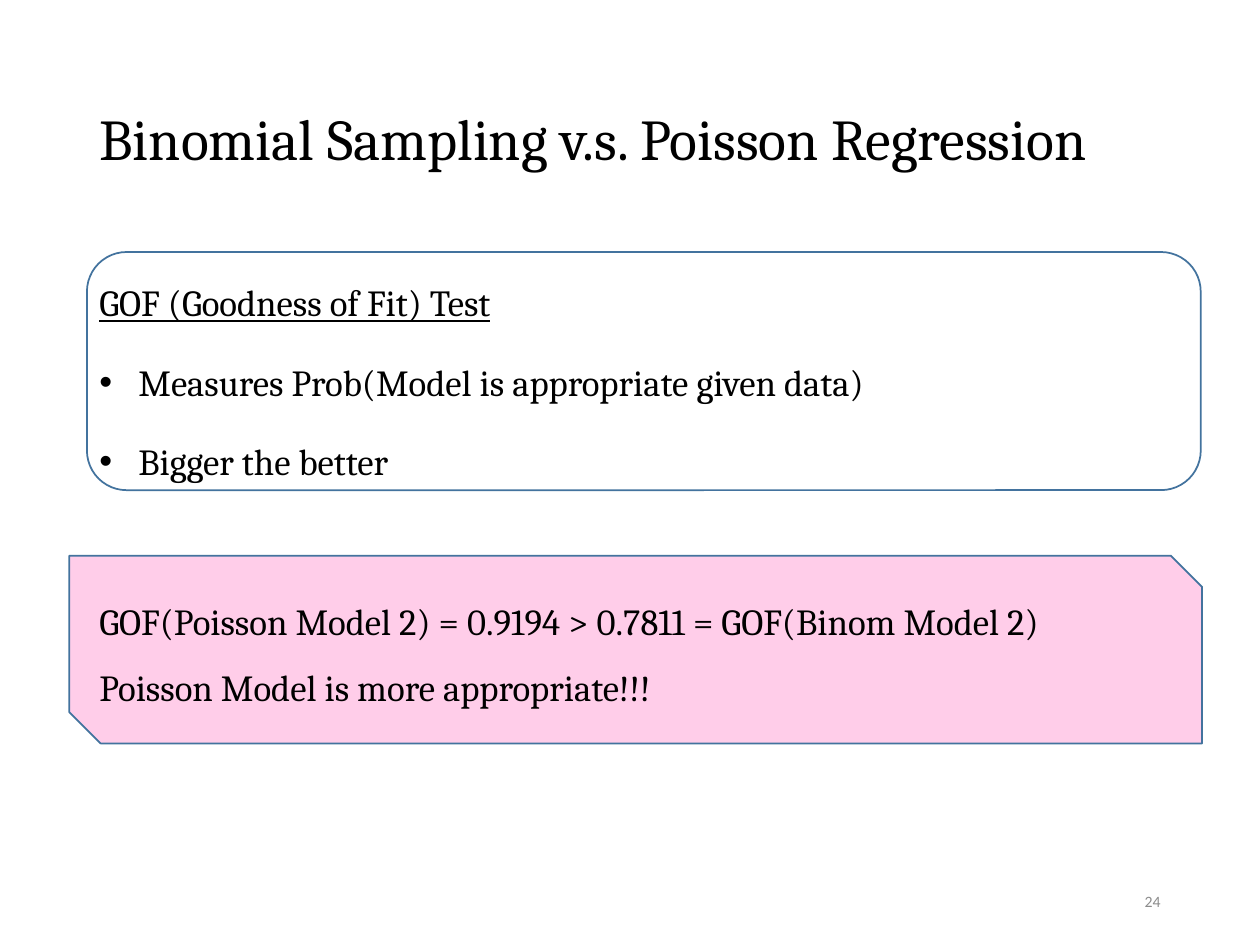
from lxml.etree import SubElement
from pptx import Presentation
from pptx.dml.color import RGBColor
from pptx.enum.shapes import MSO_SHAPE as Preset
from pptx.enum.text import MSO_ANCHOR as Anchor, PP_ALIGN as Align
from pptx.oxml.ns import qn
from pptx.util import Inches, Pt

BLACK = RGBColor(0x00, 0x00, 0x00)
WHITE = RGBColor(0xFF, 0xFF, 0xFF)
GRAY = RGBColor(0x8C, 0x8C, 0x8C)
PINK = RGBColor(0xFF, 0xCD, 0xE9)
BLUE = RGBColor(0x43, 0x73, 0x9E)

LEFT = 0.69
BULLET_INDENT = Inches(0.31)


def add_panel(slide, preset, box, fill):
    shape = slide.shapes.add_shape(preset, *map(Inches, box))
    shape.shadow.inherit = False
    shape.fill.solid()
    shape.fill.fore_color.rgb = fill
    shape.line.color.rgb = BLUE
    shape.line.width = Pt(1)


def add_text(slide, box, lines, size, font="Cambria", color=BLACK,
             anchor=Anchor.TOP, align=Align.LEFT, spacing=1.0, before=0):
    text_frame = slide.shapes.add_textbox(*map(Inches, box)).text_frame
    text_frame.word_wrap = True
    text_frame.vertical_anchor = anchor
    text_frame.text = "\n".join(lines)
    for paragraph in text_frame.paragraphs:
        paragraph.alignment = align
        paragraph.line_spacing = spacing
        paragraph.space_before = Pt(before)
        for run in paragraph.runs:
            run.font.name = font
            run.font.size = Pt(size)
            run.font.color.rgb = color
    return text_frame.paragraphs


def add_bullet(paragraph):
    properties = paragraph._p.get_or_add_pPr()
    properties.set("marL", str(BULLET_INDENT))
    properties.set("indent", str(-BULLET_INDENT))
    SubElement(properties, qn("a:buFont"), typeface="Arial")
    SubElement(properties, qn("a:buChar"), char="•")


def main():
    """Build the slide on the goodness-of-fit comparison."""
    presentation = Presentation()
    presentation.slide_width = Inches(10)
    presentation.slide_height = Inches(7.5)
    slide = presentation.slides.add_slide(presentation.slide_layouts[6])

    add_panel(slide, Preset.SNIP_2_DIAG_RECTANGLE, (0.55, 4.41, 8.99, 1.49), PINK)
    add_panel(slide, Preset.ROUNDED_RECTANGLE, (LEFT, 2, 8.84, 1.89), WHITE)

    add_text(slide, (LEFT, 0.4, 8.62, 1.45),
             ["Binomial Sampling v.s. Poisson Regression"], 33,
             anchor=Anchor.MIDDLE, spacing=0.9)

    heading, *bullets = add_text(
        slide, (LEFT, 2, 8.62, 4.76),
        ["GOF (Goodness of Fit) Test",
         "Measures Prob(Model is appropriate given data)",
         "Bigger the better"],
        21, spacing=1.5, before=7.5)
    heading.runs[0].font.underline = True
    for bullet in bullets:
        add_bullet(bullet)

    add_text(slide, (7.06, 6.95, 2.25, 0.4), ["24"], 9, "Calibri", GRAY,
             Anchor.MIDDLE, Align.RIGHT)
    add_text(slide, (LEFT, 4.53, 8.84, 1.16),
             ["GOF(Poisson Model 2) = 0.9194 > 0.7811 = GOF(Binom Model 2)",
              "Poisson Model is more appropriate!!!"],
             21, spacing=1.5)

    presentation.save("out.pptx")


main()
